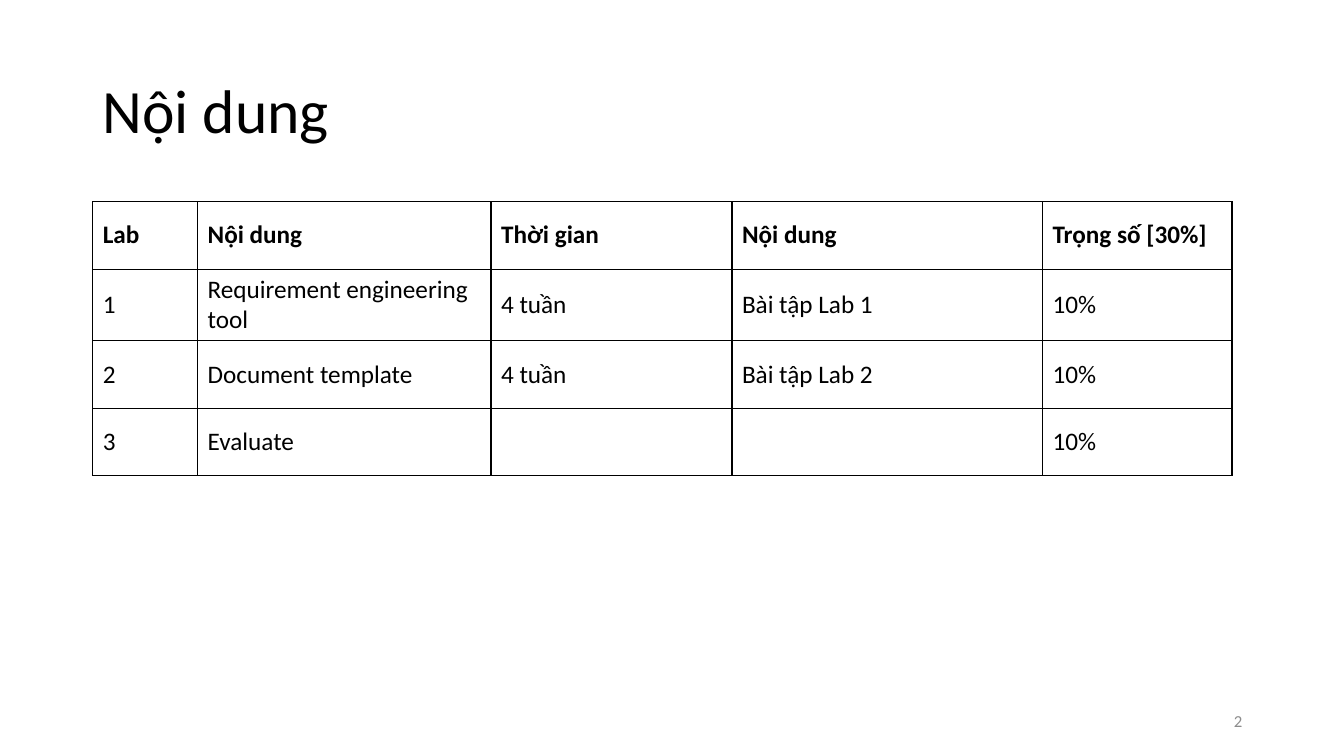
import dataclasses

import lxml.etree
import pptx
import pptx.dml.color
import pptx.enum.text
import pptx.oxml.ns
import pptx.util

Inches = pptx.util.Inches
Pt = pptx.util.Pt
Align = pptx.enum.text.PP_ALIGN
Anchor = pptx.enum.text.MSO_ANCHOR

FONT = "Calibri"
BLACK = "000000"
GREY = "8C8C8C"


@dataclasses.dataclass
class Label:
    text: str
    left: float
    top: float
    width: float
    height: float
    size: float
    color: str = BLACK
    align: Align = Align.LEFT
    line_spacing: float = 1.0


@dataclasses.dataclass
class Column:
    heading: str
    width: float
    entries: tuple[str, str, str]


LABELS = [
    Label("Nội dung", 0.92, 0.4, 11.5, 1.45, 44, line_spacing=0.9),
    Label("2", 9.42, 6.95, 3, 0.4, 12, GREY, Align.RIGHT),
]
COLUMNS = [
    Column("Lab", 1.04, ("1", "2", "3")),
    Column("Nội dung", 2.91,
           ("Requirement engineering tool", "Document template", "Evaluate")),
    Column("Thời gian", 2.39, ("4 tuần", "4 tuần", "")),
    Column("Nội dung", 3.08, ("Bài tập Lab 1", "Bài tập Lab 2", "")),
    Column("Trọng số [30%]", 1.88, ("10%", "10%", "10%")),
]
TABLE_LEFT, TABLE_TOP, ROW_HEIGHT = 0.92, 2, 0.67


def rgb(color: str) -> pptx.dml.color.RGBColor:
    return pptx.dml.color.RGBColor.from_string(color)


def set_font(para, size: float, color: str, bold: bool = False) -> None:
    font = para.font
    font.name, font.size, font.bold = FONT, Pt(size), bold
    font.color.rgb = rgb(color)


def add_label(page, label: Label) -> None:
    box = page.shapes.add_textbox(Inches(label.left), Inches(label.top),
                                  Inches(label.width), Inches(label.height))
    frame = box.text_frame
    frame.word_wrap = True
    frame.vertical_anchor = Anchor.MIDDLE
    para = frame.paragraphs[0]
    para.text = label.text
    para.alignment = label.align
    para.line_spacing = label.line_spacing
    set_font(para, label.size, label.color)


def add_borders(cell, color: str, width: float) -> None:
    """Draw all four edges; they must precede the fill in the cell properties."""
    qn = pptx.oxml.ns.qn
    properties = cell._tc.get_or_add_tcPr()
    for position, edge in enumerate(("a:lnL", "a:lnR", "a:lnT", "a:lnB")):
        line = lxml.etree.Element(qn(edge), w=str(Pt(width)))
        fill = lxml.etree.SubElement(line, qn("a:solidFill"))
        lxml.etree.SubElement(fill, qn("a:srgbClr"), val=color)
        properties.insert(position, line)


def fill_cell(cell, text: str, bold: bool) -> None:
    cell.vertical_anchor = Anchor.MIDDLE
    cell.fill.background()
    add_borders(cell, BLACK, 1)
    para = cell.text_frame.paragraphs[0]
    para.text = text
    set_font(para, 18, BLACK, bold)


def add_lab_table(page, columns: list[Column]) -> None:
    row_count = 1 + len(columns[0].entries)
    table = page.shapes.add_table(
        row_count, len(columns), Inches(TABLE_LEFT), Inches(TABLE_TOP),
        Inches(sum(column.width for column in columns)),
        Inches(ROW_HEIGHT * row_count)).table
    table.horz_banding = False
    table.first_row = False
    for row in table.rows:
        row.height = Inches(ROW_HEIGHT)
    for column_index, column in enumerate(columns):
        table.columns[column_index].width = Inches(column.width)
        for row_index, text in enumerate((column.heading, *column.entries)):
            fill_cell(table.cell(row_index, column_index), text, row_index == 0)


def main() -> None:
    deck = pptx.Presentation()
    deck.slide_width, deck.slide_height = Inches(13.33), Inches(7.5)
    page = deck.slides.add_slide(deck.slide_layouts[6])
    add_lab_table(page, COLUMNS)
    for label in LABELS:
        add_label(page, label)
    deck.save("out.pptx")


if __name__ == "__main__":
    main()
